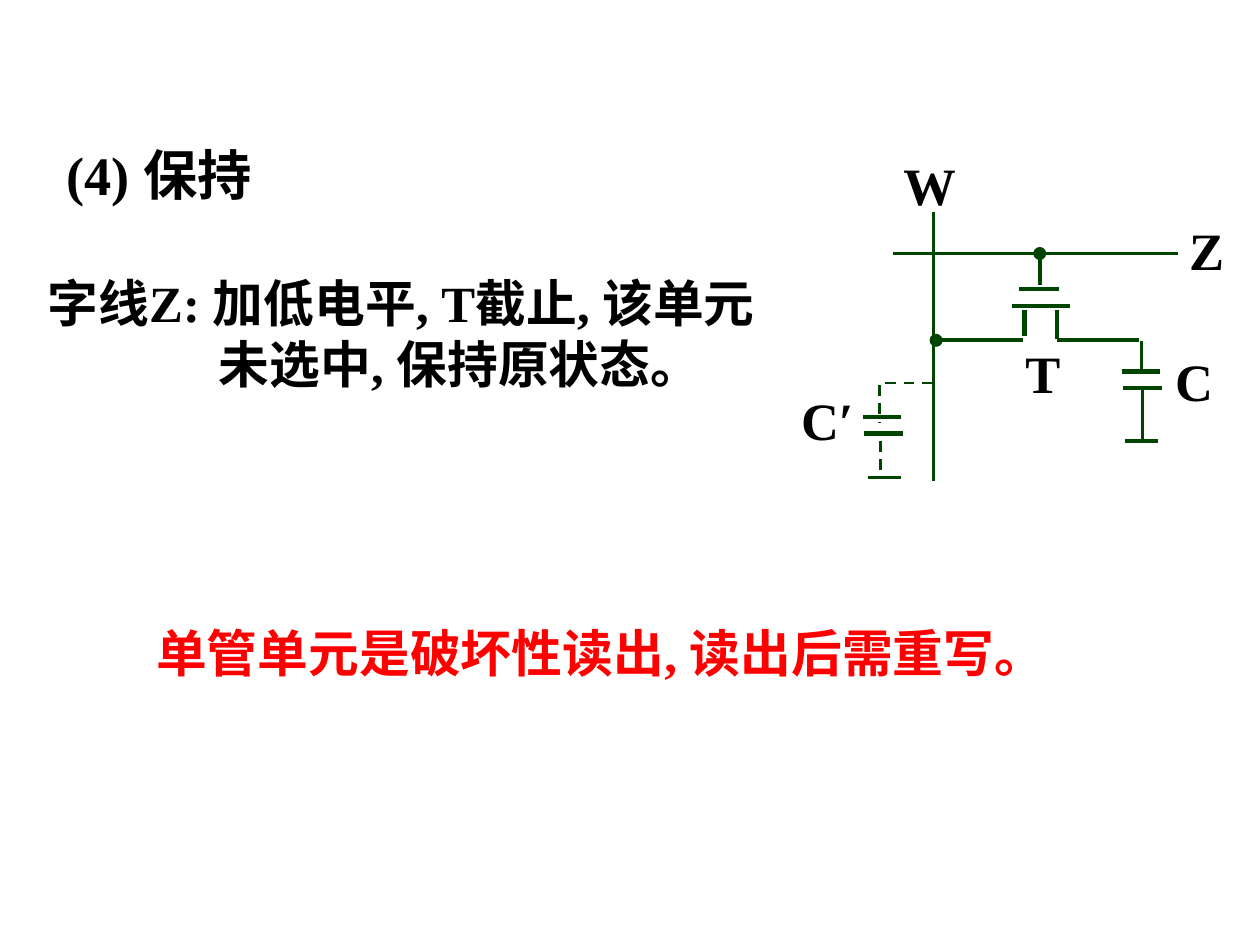
from lxml.etree import SubElement
from pptx import Presentation
from pptx.dml.color import RGBColor
from pptx.enum.dml import MSO_LINE
from pptx.enum.shapes import MSO_CONNECTOR
from pptx.enum.text import MSO_AUTO_SIZE
from pptx.oxml.ns import qn
from pptx.util import Cm, Pt

BLACK = RGBColor(0x00, 0x00, 0x00)
RED = RGBColor(0xFF, 0x00, 0x00)
GREEN = RGBColor(0x00, 0x44, 0x00)
THIN, MID, THICK = 1.75, 2, 2.5


class Page:
    font = "Times New Roman"

    def __init__(self, slide):
        self.slide = slide

    def text(self, words, x, y, w, h, size=30, color=BLACK, hang=0):
        box = self.slide.shapes.add_textbox(Cm(x), Cm(y), Cm(w), Cm(h))
        frame = box.text_frame
        frame.word_wrap = True
        frame.auto_size = MSO_AUTO_SIZE.SHAPE_TO_FIT_TEXT
        para = frame.paragraphs[0]
        para.text = words
        if hang:
            props = para._p.get_or_add_pPr()
            props.set("marL", str(Cm(hang)))
            props.set("indent", str(-Cm(hang)))
        font = para.font
        font.name, font.size, font.bold = self.font, Pt(size), True
        font.color.rgb = color

    def stroke(self, line, width, dash=False):
        line.color.rgb = GREEN
        line.width = Pt(width)
        if dash:
            line.dash_style = MSO_LINE.DASH

    def wire(self, x1, y1, x2, y2, width=THICK, dash=False, dot=False):
        wire = self.slide.shapes.add_connector(
            MSO_CONNECTOR.STRAIGHT, Cm(x1), Cm(y1), Cm(x2), Cm(y2))
        self.stroke(wire.line, width, dash)
        if dot:
            SubElement(wire.line._get_or_add_ln(), qn("a:headEnd"), type="oval")
        SubElement(wire._element.spPr, qn("a:effectLst"))

    def bend(self, start, *rest):
        pen = self.slide.shapes.build_freeform(Cm(start[0]), Cm(start[1]))
        pen.add_line_segments([(Cm(x), Cm(y)) for x, y in rest], close=False)
        shape = pen.convert_to_shape()
        shape.shadow.inherit = False
        shape.fill.background()
        self.stroke(shape.line, 1.5, dash=True)

    def plates(self, x, y):
        """Draw the two plates of a capacitor."""
        for step in (0, 1):
            left, top = x + 0.03 * step, y + 0.33 * step
            self.wire(left, top, left + 0.78, top)


def main():
    deck = Presentation()
    deck.slide_width, deck.slide_height = Cm(25.4), Cm(19.05)
    page = Page(deck.slides.add_slide(deck.slide_layouts[6]))

    # Heading, explanation and conclusion
    page.text("(4) 保持", 1.09, 2.72, 5.38, 1.57, 31)
    page.text("字线Z: 加低电平, T截止, 该单元未选中, 保持原状态。",
              0.71, 5.36, 15.75, 2.74, 29, hang=3.45)
    page.text("单管单元是破坏性读出, 读出后需重写。",
              2.9, 12.4, 18.8, 1.5, 29, RED)

    # Word line Z and bit line W
    page.wire(18.01, 5.11, 23.75, 5.11, THIN)
    page.wire(18.82, 4.27, 18.82, 9.7, THIN)

    # Transistor T: gate, channel, source and drain
    page.wire(20.96, 5.11, 20.96, 5.74, dot=True)
    page.wire(20.55, 5.82, 21.34, 5.82)
    page.wire(20.4, 6.17, 21.56, 6.17)
    page.wire(20.65, 6.25, 20.65, 6.78)
    page.wire(21.31, 6.25, 21.31, 6.83)
    page.wire(18.87, 6.86, 20.62, 6.86, dot=True)
    page.wire(21.31, 6.86, 22.96, 6.86)

    # Storage capacitor C
    page.wire(23.01, 6.88, 23.01, 7.44, THIN)
    page.plates(22.61, 7.49)
    page.wire(23.04, 7.85, 23.04, 8.86, THIN)
    page.wire(22.68, 8.89, 23.34, 8.89, MID)

    # Stray capacitor C′
    page.bend((18.8, 7.72), (17.73, 7.72), (17.73, 8.53))
    page.plates(17.39, 8.41)
    page.wire(17.75, 8.89, 17.75, 9.6, 1.5, dash=True)
    page.wire(17.5, 9.63, 18.16, 9.63, MID)

    # Labels
    for name, x, y, w in (("W", 17.96, 2.97, 2.03), ("Z", 23.72, 4.27, 1.73),
                          ("T", 20.42, 6.76, 1.75), ("C", 23.44, 6.91, 1.73),
                          ("C′", 15.9, 7.7, 1.73)):
        page.text(name, x, y, w, 1.52)

    deck.save("out.pptx")


if __name__ == "__main__":
    main()
